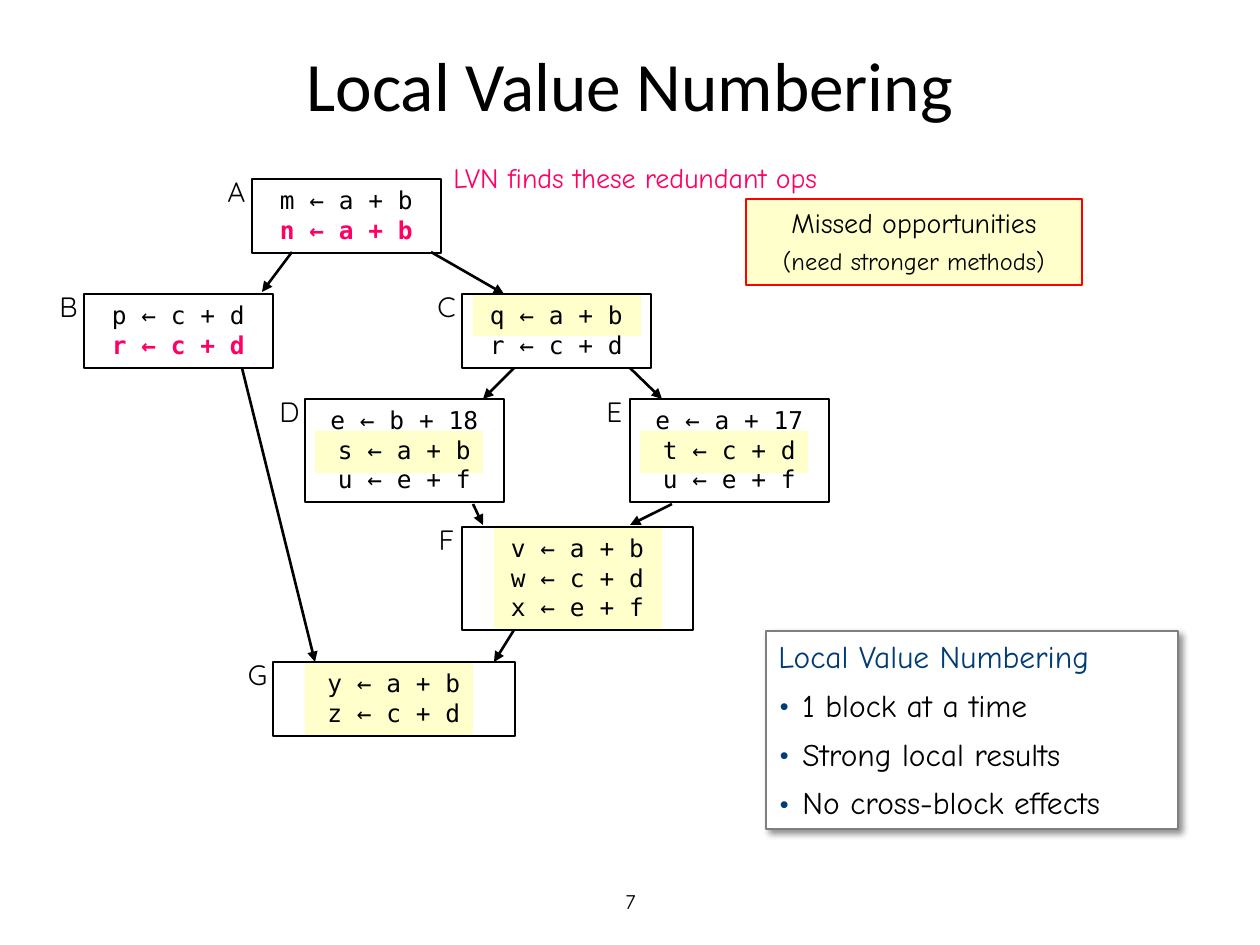
from lxml import etree
from pptx import Presentation
from pptx.dml.color import RGBColor
from pptx.enum.shapes import MSO_CONNECTOR, MSO_SHAPE
from pptx.enum.text import MSO_ANCHOR, PP_ALIGN
from pptx.oxml import parse_xml
from pptx.oxml.ns import nsdecls, qn
from pptx.util import Pt

PX = 914400 / 126
RECTANGLE, STRAIGHT = MSO_SHAPE.RECTANGLE, MSO_CONNECTOR.STRAIGHT
CENTER, LEFT = PP_ALIGN.CENTER, PP_ALIGN.LEFT
TOP, MIDDLE = MSO_ANCHOR.TOP, MSO_ANCHOR.MIDDLE

BLACK = RGBColor(0x00, 0x00, 0x00)
WHITE = RGBColor(0xFF, 0xFF, 0xFF)
GRAY = RGBColor(0x7F, 0x7F, 0x7F)
RED = RGBColor(0xFF, 0x00, 0x00)
PINK = RGBColor(0xFF, 0x00, 0x65)
NAVY = RGBColor(0x00, 0x3C, 0x75)
YELLOW = RGBColor(0xFF, 0xFF, 0x99)

CODE = {"name": "DejaVu Sans Mono", "size": Pt(14), "color": BLACK}
LABEL = {"name": "Quicksand", "size": Pt(16), "color": BLACK}
NOTE = {"name": "Comic Neue", "size": Pt(16), "color": BLACK}
SUMMARY = NOTE | {"size": Pt(18)}
REDUNDANT = CODE | {"color": PINK, "bold": True}

deck = Presentation()
deck.slide_width, deck.slide_height = round(1260 * PX), round(945 * PX)
page = deck.slides.add_slide(deck.slide_layouts[6])


def add_rectangle(area, fill=None, line=None, opacity=100):
    box = page.shapes.add_shape(RECTANGLE, *[round(v * PX) for v in area])
    box.shadow.inherit = False
    if fill is None:
        box.fill.background()
    else:
        box.fill.solid()
        box.fill.fore_color.rgb = fill
        if opacity < 100:
            color = box.fill._xPr.find(qn("a:solidFill"))[0]
            etree.SubElement(color, qn("a:alpha"), val=str(opacity * 1000))
    if line is None:
        box.line.fill.background()
    else:
        box.line.color.rgb = line
        box.line.width = Pt(1.5)
    return box


def write(lines, box=None, area=None, align=CENTER, anchor=TOP, gap=0, bullets=False):
    """Write (text, format) lines into box, or into a new text box at area."""
    if box is None:
        box = page.shapes.add_textbox(*[round(v * PX) for v in area])
    frame = box.text_frame
    frame.word_wrap = True
    frame.vertical_anchor = anchor
    for index, (text, style) in enumerate(lines):
        para = frame.paragraphs[0] if index == 0 else frame.add_paragraph()
        para.alignment = align
        if index and gap:
            para.space_before = Pt(gap)
        if index and bullets:
            properties = para._p.get_or_add_pPr()
            properties.set("marL", str(round(24 * PX)))
            properties.set("indent", str(round(-24 * PX)))
            color = etree.SubElement(properties, qn("a:buClr"))
            etree.SubElement(color, qn("a:srgbClr"), val=str(NAVY))
            etree.SubElement(properties, qn("a:buSzPct"), val="120000")
            etree.SubElement(properties, qn("a:buFont"), typeface="Comic Neue")
            etree.SubElement(properties, qn("a:buChar"), char="•")
        span = para.add_run()
        span.text = text
        for key, value in style.items():
            if key == "color":
                span.font.color.rgb = value
            else:
                setattr(span.font, key, value)


write([("Local Value Numbering", {"name": "Calibri", "size": Pt(39.6), "color": BLACK})],
      area=(63, 38, 1134, 92), anchor=MIDDLE)
write([("7", NOTE | {"size": Pt(12)})], area=(431, 876, 399, 50), anchor=MIDDLE)

missed = add_rectangle((746, 199, 336, 86), YELLOW, RED, opacity=50)
write([("Missed opportunities", NOTE), ("(need stronger methods)", NOTE | {"size": Pt(14)})],
      missed, gap=4)

# Missed operations: left, top, height
for left, top, height in [(473, 294, 42), (640, 431, 42), (315, 431, 42),
                          (494, 525, 105), (305, 662, 74)]:
    add_rectangle((left, top, 168, height), YELLOW, opacity=50)

# Basic blocks: label, left, top, width, code, whether the last line is redundant
blocks = [
    ("A", 252, 179, 189, ["m ← a + b", "n ← a + b"], True),
    ("B", 84, 294, 189, ["p ← c + d", "r ← c + d"], True),
    ("C", 462, 294, 189, ["q ← a + b", "r ← c + d"], False),
    ("D", 305, 399, 199, ["e ← b + 18", "s ← a + b", "u ← e + f"], False),
    ("E", 630, 399, 199, ["e ← a + 17", "t ← c + d", "u ← e + f"], False),
    ("F", 462, 527, 231, ["v ← a + b", "w ← c + d", "x ← e + f"], False),
    ("G", 273, 662, 242, ["y ← a + b", "z ← c + d"], False),
]
for label, left, top, width, code, redundant in blocks:
    block = add_rectangle((left, top, width, 16 + 29 * len(code)), line=BLACK)
    last = REDUNDANT if redundant else CODE
    write([(text, CODE) for text in code[:-1]] + [(code[-1], last)], block)
    write([(label, LABEL)], area=(left - 42, top - 11, 53, 47))

flow = [
    (292, 252, 262, 292), (431, 252, 504, 294), (242, 368, 315, 662),
    (514, 368, 483, 399), (630, 368, 662, 399), (473, 504, 483, 525),
    (672, 504, 630, 525), (514, 630, 494, 662),
]
for ends in flow:
    arrow = page.shapes.add_connector(STRAIGHT, *[round(v * PX) for v in ends])
    arrow.line.color.rgb = BLACK
    arrow.line.width = Pt(1.5)
    etree.SubElement(arrow.line._get_or_add_ln(), qn("a:tailEnd"), type="triangle")
    etree.SubElement(arrow._element.spPr, qn("a:effectLst"))

summary = add_rectangle((766, 631, 412, 198), WHITE, GRAY)
summary._element.spPr.find(qn("a:effectLst")).append(parse_xml(
    f'<a:outerShdw {nsdecls("a")} blurRad="50800" dist="38100" dir="2700000">'
    '<a:srgbClr val="000000"><a:alpha val="43000"/></a:srgbClr></a:outerShdw>'))
write([("Local Value Numbering", SUMMARY | {"color": NAVY}), ("1 block at a time", SUMMARY),
       ("Strong local results", SUMMARY), ("No cross-block effects", SUMMARY)],
      summary, align=LEFT, gap=6.2, bullets=True)

write([("LVN finds these redundant ops", NOTE | {"color": PINK})],
      area=(441, 154, 451, 47), align=LEFT)

deck.save("out.pptx")
